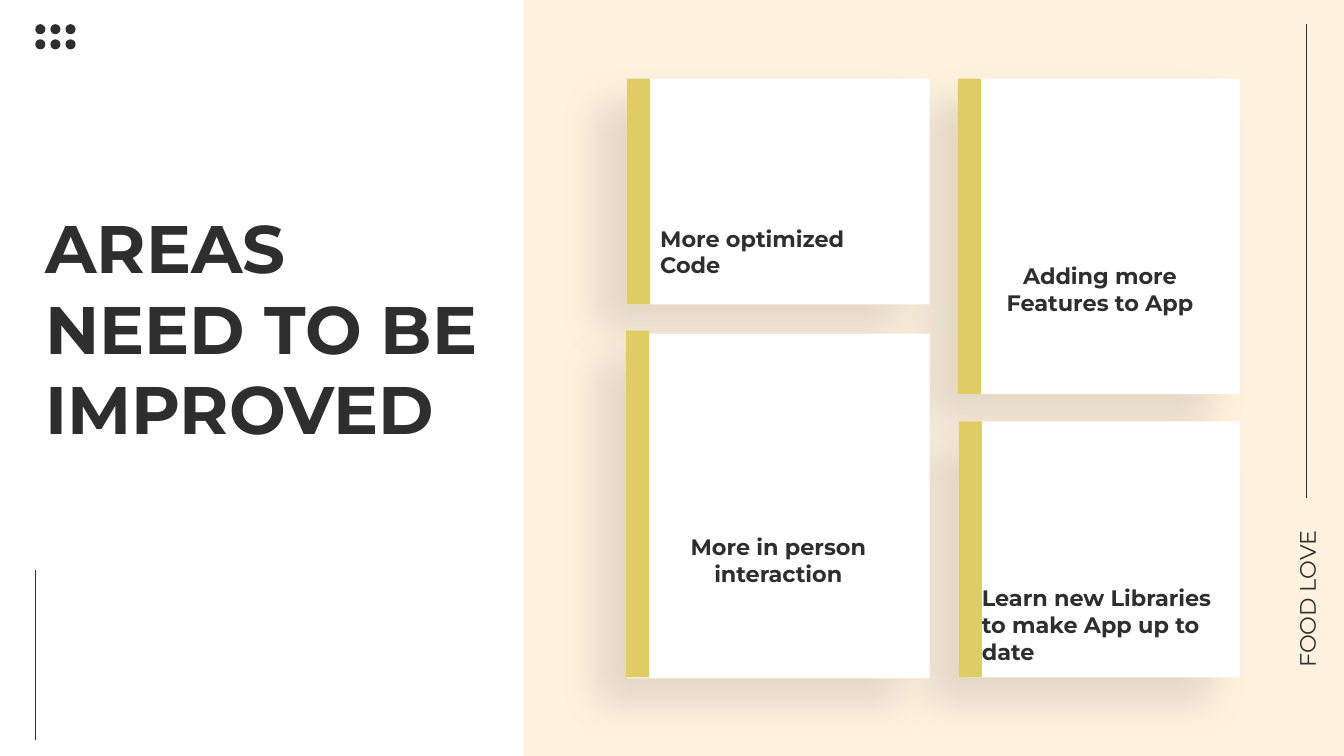
from dataclasses import dataclass
from itertools import product

from lxml.etree import SubElement
from pptx import Presentation
from pptx.dml.color import RGBColor as Color
from pptx.enum.shapes import MSO_CONNECTOR as Connector, MSO_SHAPE as Preset
from pptx.enum.text import PP_ALIGN as Align
from pptx.oxml.ns import qn
from pptx.shapes.autoshape import Shape
from pptx.slide import Slide
from pptx.util import Inches, Pt


@dataclass(frozen=True)
class Theme:
    font: str = "Montserrat"
    ink: str = "2E2E2E"
    cream: str = "FEF1DE"
    white: str = "FFFFFF"
    gold: str = "DFCC63"
    shadow: str = "000000"
    title_size: int = 48
    body_size: int = 16
    line_width: float = 0.75


@dataclass(frozen=True)
class Area:
    left: float
    top: float
    width: float
    height: float


@dataclass(frozen=True)
class Label:
    text: str
    area: Area
    align: Align = Align.LEFT
    size: int = Theme.body_size
    bold: bool = True
    rotation: int = 0


@dataclass(frozen=True)
class Card:
    panel: Area
    stripe: Area
    label: Label


THEME = Theme()

TITLE = Label("AREAS NEED TO BE IMPROVED", Area(0.35, 2, 4.75, 2.67), size=THEME.title_size)
SIDE_LABEL = Label("FOOD LOVE", Area(12.05, 5.76, 1.83, 0.37), Align.CENTER,
                   bold=False, rotation=270)

CARDS = [
    Card(Area(9.51, 0.78, 2.79, 3.13), Area(9.5, 0.78, 0.23, 3.13),
         Label("Adding more Features to App", Area(9.64, 2.55, 2.54, 0.37), Align.CENTER)),
    Card(Area(9.51, 4.18, 2.79, 2.54), Area(9.51, 4.18, 0.23, 2.54),
         Label("Learn new Libraries to make App up to date", Area(9.64, 5.75, 2.54, 0.37))),
    Card(Area(6.22, 0.78, 3, 2.24), Area(6.22, 0.78, 0.23, 2.24),
         Label("More optimized Code", Area(6.45, 2.18, 2.54, 0.37))),
    Card(Area(6.22, 3.31, 3, 3.42), Area(6.21, 3.28, 0.23, 3.44),
         Label("More in person interaction", Area(6.45, 5.24, 2.54, 0.37), Align.CENTER)),
]


def place(area: Area) -> tuple[int, int, int, int]:
    return Inches(area.left), Inches(area.top), Inches(area.width), Inches(area.height)


def add_block(page: Slide, area: Area, fill: str, preset: Preset = Preset.RECTANGLE) -> Shape:
    block = page.shapes.add_shape(preset, *place(area))
    block.shadow.inherit = False
    block.fill.solid()
    block.fill.fore_color.rgb = Color.from_string(fill)
    block.line.fill.background()
    return block


def add_soft_shadow(block: Shape) -> None:
    effects = block._element.spPr.find(qn("a:effectLst"))
    outer = SubElement(effects, qn("a:outerShdw"), blurRad=str(Pt(29)), dist=str(Pt(28)),
                       dir=str(141 * 60000), algn="tr", rotWithShape="0")
    tint = SubElement(outer, qn("a:srgbClr"), val=THEME.shadow)
    SubElement(tint, qn("a:alpha"), val="11000")


def add_rule(page: Slide, x: float, top: float, bottom: float) -> None:
    rule = page.shapes.add_connector(Connector.STRAIGHT, Inches(x), Inches(bottom),
                                     Inches(x), Inches(top))
    rule.line.color.rgb = Color.from_string(THEME.ink)
    rule.line.width = Pt(THEME.line_width)
    SubElement(rule._element.spPr, qn("a:effectLst"))


def add_label(page: Slide, label: Label) -> None:
    box = page.shapes.add_textbox(*place(label.area))
    box.rotation = label.rotation
    box.text_frame.word_wrap = True
    para = box.text_frame.paragraphs[0]
    para.alignment = label.align
    span = para.add_run()
    span.text = label.text
    span.font.name = THEME.font
    span.font.size = Pt(label.size)
    span.font.bold = label.bold
    span.font.color.rgb = Color.from_string(THEME.ink)


def main() -> None:
    deck = Presentation()
    deck.slide_width, deck.slide_height = Inches(13.33), Inches(7.5)
    page = deck.slides.add_slide(deck.slide_layouts[6])

    # Cream background on the right
    add_block(page, Area(5.19, 0, 8.14, 7.5), THEME.cream)

    # Dot grid, three columns by two rows
    for column, row in product(range(3), range(2)):
        dot = Area(0.35 + 0.15 * column, 0.24 + 0.15 * row, 0.1, 0.1)
        add_block(page, dot, THEME.ink, Preset.OVAL)

    # Vertical rules and the side label
    add_rule(page, 0.35, 5.65, 7.34)
    add_rule(page, 12.96, 0.24, 4.94)
    add_label(page, SIDE_LABEL)

    # Card panels lie below all text and stripes
    for card in CARDS:
        add_soft_shadow(add_block(page, card.panel, THEME.white))

    # Title, card labels and stripes
    add_label(page, TITLE)
    for card in CARDS:
        add_label(page, card.label)
    for card in CARDS:
        add_block(page, card.stripe, THEME.gold)

    deck.save("out.pptx")


if __name__ == "__main__":
    main()
